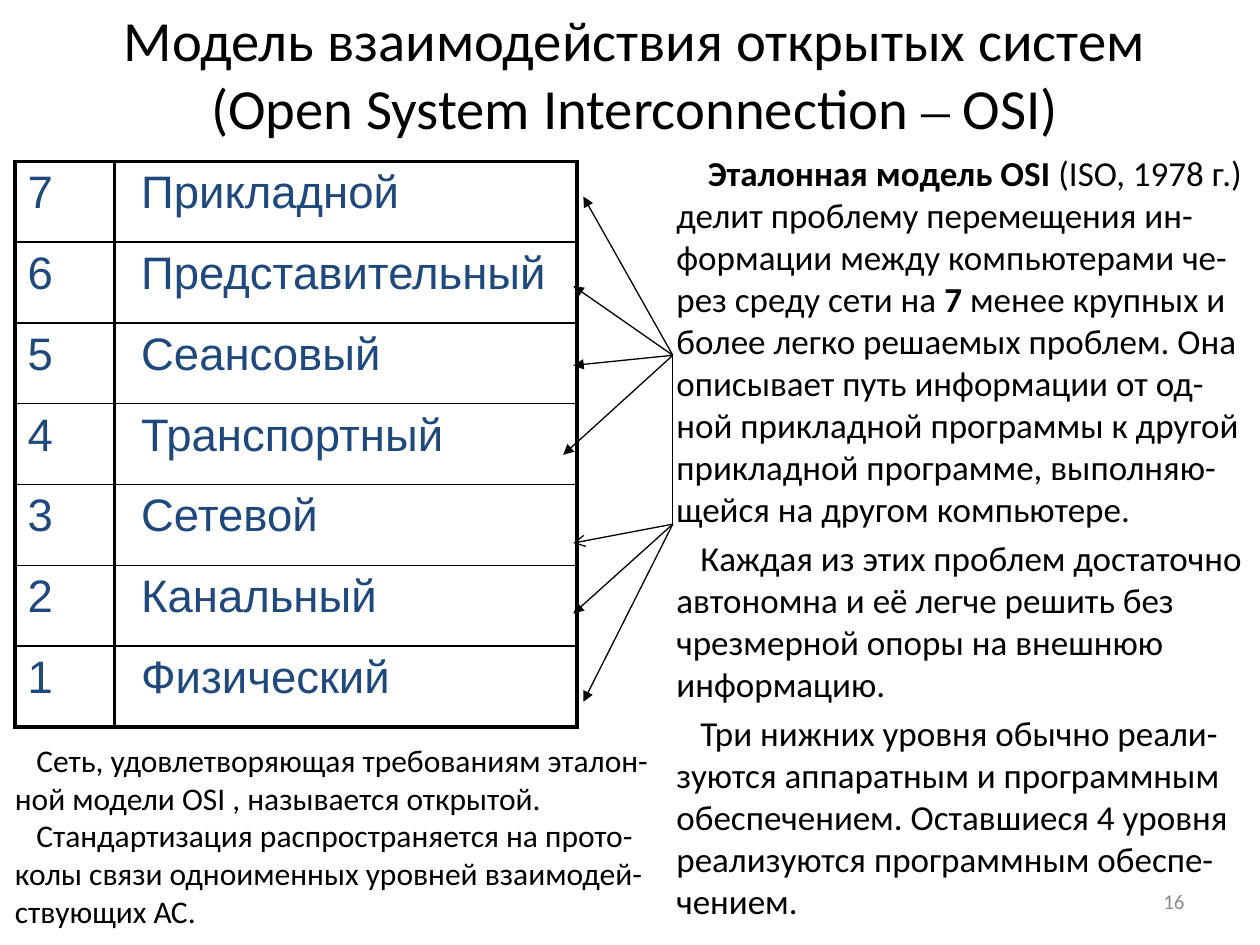
from lxml import etree
from pptx import Presentation, util as u
from pptx.dml.color import RGBColor
from pptx.enum import shapes, text
from pptx.oxml.ns import qn

COLORS = {"ink": "000000", "level": "1F497D", "number": "8C8C8C"}

presentation = Presentation()
presentation.slide_width, presentation.slide_height = u.Inches(10), u.Inches(7.5)
slide = presentation.slides.add_slide(presentation.slide_layouts[5])


def add_run(paragraph, words, size, color="ink", font="Calibri", bold=False):
    run = paragraph.add_run()
    run.text = words
    run.font.size, run.font.name, run.font.bold = u.Pt(size), font, bold
    run.font.color.rgb = RGBColor.from_string(COLORS[color])


def add_line(start, end, width, head=None):
    line = slide.shapes.add_connector(
        shapes.MSO_CONNECTOR.STRAIGHT, *(u.Inches(value) for value in start + end))
    line.line.width = u.Pt(width)
    line.line.color.rgb = RGBColor.from_string(COLORS["ink"])
    if head:
        etree.SubElement(line.line._get_or_add_ln(), qn("a:tailEnd"), type=head)
    etree.SubElement(line._element.spPr, qn("a:effectLst"))


# Title
title = slide.shapes.title
title.left, title.top = u.Inches(0.43), u.Inches(0.03)
title.width, title.height = u.Inches(9.21), u.Inches(1.1)
title.text_frame.vertical_anchor = text.MSO_ANCHOR.MIDDLE
title.text_frame.auto_size = text.MSO_AUTO_SIZE.NONE
heading = title.text_frame.paragraphs[0]
heading.alignment = text.PP_ALIGN.CENTER
add_run(heading, "Модель взаимодействия открытых систем (Open System Interconnection ", 32.4)
add_run(heading, "–", 32.4, font="Times New Roman")
add_run(heading, " OSI)", 32.4)

# Text blocks: box, size, space before, then (first-line indent, [(words, bold)]) per paragraph
text_blocks = [
    ((5.27, 1.15, 4.73, 6.35), 20, 4, [
        (0.25, [
            ("Эталонная модель OSI", True),
            (" (ISO, 1978 г.) делит проблему перемещения ин-формации между "
             "компьютерами че-рез среду сети на ", False),
            ("7", True),
            (" менее крупных и более легко решаемых проблем. Она описывает путь "
             "информации от од-ной прикладной программы к другой прикладной "
             "программе, выполняю-щейся на другом компьютере.", False)]),
        (0.19, [
            ("Каждая из этих проблем достаточно автономна и её легче решить без "
             "чрезмерной опоры на внешнюю информацию.", False)]),
        (0.19, [
            ("Три нижних уровня обычно реали-зуются аппаратным и программным "
             "обеспечением. Оставшиеся 4 уровня реализуются программным "
             "обеспе-чением.", False)])]),
    ((0.02, 5.83, 5.24, 1.62), 18, 0, [
        (0.17, [
            ("Сеть, удовлетворяющая требованиям эталон-ной модели OSI , "
             "называется открытой.", False)]),
        (0.17, [
            ("Стандартизация распространяется на прото-колы связи одноименных "
             "уровней взаимодей-ствующих АС.", False)])]),
]
for box, size, space_before, paragraphs in text_blocks:
    frame = slide.shapes.add_textbox(*(u.Inches(value) for value in box)).text_frame
    frame.word_wrap = True
    for index, (indent, runs) in enumerate(paragraphs):
        paragraph = frame.add_paragraph() if index else frame.paragraphs[0]
        paragraph.space_before = u.Pt(space_before)
        paragraph._p.get_or_add_pPr().set("indent", str(u.Inches(indent)))
        for words, bold in runs:
            add_run(paragraph, words, size, bold=bold)

# Table of the seven levels
levels = ["Прикладной", "Представительный", "Сеансовый", "Транспортный",
          "Сетевой", "Канальный", "Физический"]
left, top, width, height = 0.12, 1.28, 4.46, 4.49
count = len(levels)
table = slide.shapes.add_table(count, 1, u.Inches(left), u.Inches(top),
                               u.Inches(width), u.Inches(height)).table
table.first_row = table.horz_banding = False
number_gap = str(u.Inches(0.9))
for row, level in enumerate(levels):
    cell = table.cell(row, 0)
    paragraph = cell.text_frame.paragraphs[0]
    paragraph.space_before = u.Pt(5.2)
    properties = paragraph._p.get_or_add_pPr()
    properties.set("marL", number_gap)
    properties.set("indent", "-" + number_gap)
    add_run(paragraph, f"{count - row}\t{level}", 26, "level", "Arial")
    borders = {"lnL": 2.25, "lnR": 2.25,
               "lnT": 2.25 if row == 0 else 1,
               "lnB": 2.25 if row == count - 1 else 1}
    for side, points in borders.items():
        border = etree.SubElement(cell._tc.get_or_add_tcPr(), qn(f"a:{side}"),
                                  w=str(u.Pt(points)))
        fill = etree.SubElement(border, qn("a:solidFill"))
        etree.SubElement(fill, qn("a:srgbClr"), val=COLORS["ink"])
    cell.fill.background()
add_line((0.91, top), (0.91, top + height), 1.5)

# Arrows from the two groups of levels
upper, lower = (5.34, 2.82), (5.34, 4.16)
add_line(upper, lower, 0.75)
arrows = [
    (upper, [(4.63, 1.56), (4.55, 2.27), (4.55, 2.9), (4.47, 3.61)], "triangle"),
    (lower, [(4.55, 4.87), (4.63, 5.57)], "triangle"),
    (lower, [(4.55, 4.31)], "arrow"),
]
for start, ends, head in arrows:
    for end in ends:
        add_line(start, end, 0.75, head)

# Slide number
number_box = slide.shapes.add_textbox(
    u.Inches(7.17), u.Inches(6.95), u.Inches(2.33), u.Inches(0.4))
number_box.text_frame.word_wrap = True
number_box.text_frame.vertical_anchor = text.MSO_ANCHOR.MIDDLE
number = number_box.text_frame.paragraphs[0]
number.alignment = text.PP_ALIGN.RIGHT
add_run(number, "16", 12, "number")

presentation.save("out.pptx")
